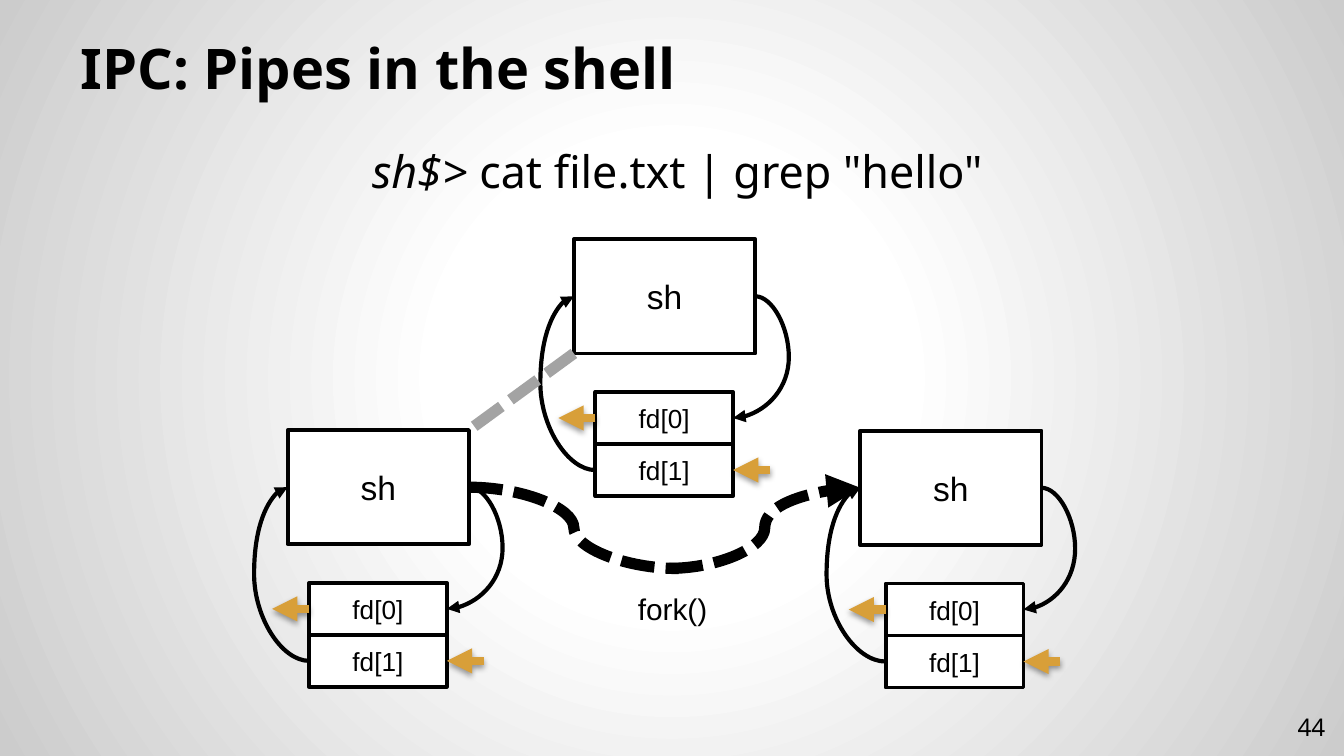
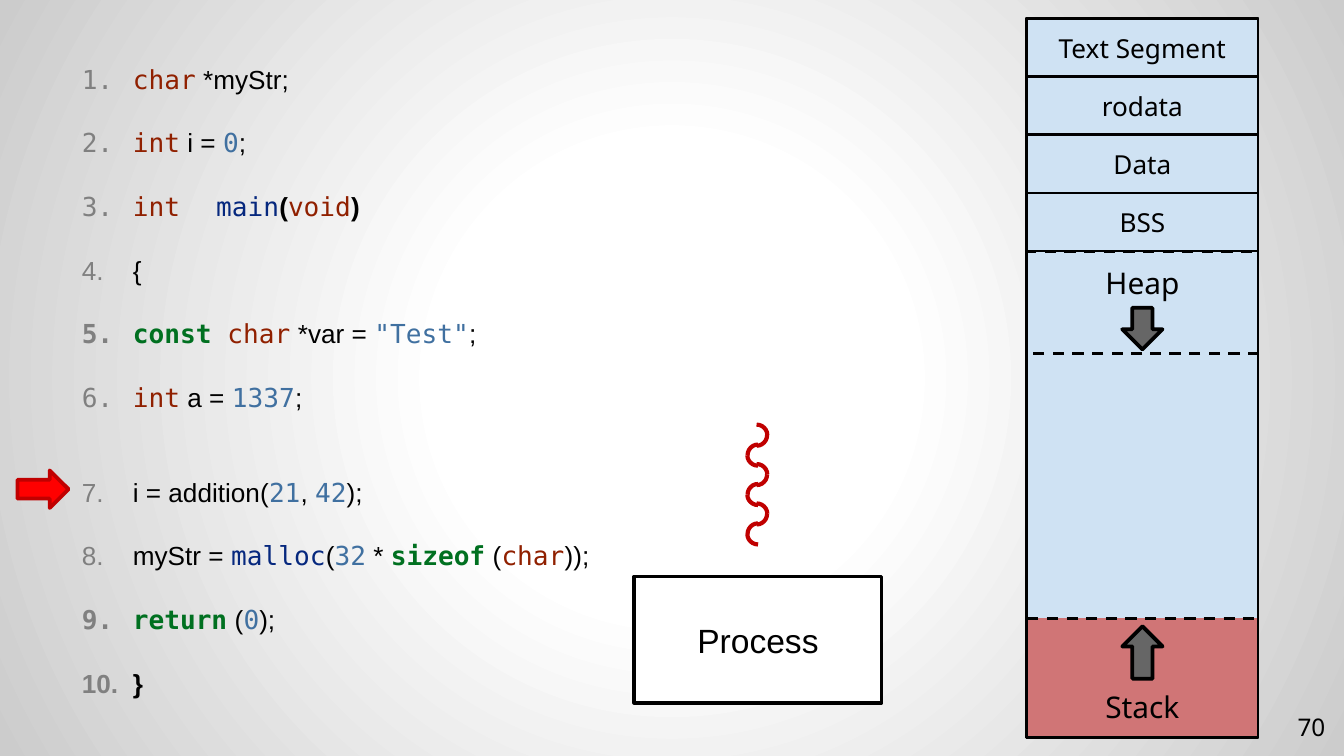
from pptx import Presentation
from pptx.dml.color import RGBColor
from pptx.enum.dml import MSO_LINE
from pptx.enum.shapes import MSO_CONNECTOR, MSO_SHAPE
from pptx.enum.text import MSO_ANCHOR, MSO_AUTO_SIZE, PP_ALIGN
from pptx.oxml import parse_xml
from pptx.oxml.ns import nsdecls, qn
from pptx.util import Emu, Inches, Pt

# Grid: 100 columns by 56.25 rows of square cells
CELL = Inches(0.1)
COLS, ROWS = 100, 56.25

# Colours and fonts
BLACK = RGBColor(0x00, 0x00, 0x00)
WHITE = RGBColor(0xFF, 0xFF, 0xFF)
GOLD = RGBColor(0xD8, 0x9F, 0x39)
SILVER = RGBColor(0xA3, 0xA3, 0xA3)
GREY = RGBColor(0x66, 0x66, 0x66)
SKY = RGBColor(0xCF, 0xE2, 0xF3)
ROSE = RGBColor(0xD0, 0x75, 0x76)
RED = RGBColor(0xFF, 0x00, 0x00)
WINE = RGBColor(0xC0, 0x00, 0x00)
RUST = RGBColor(0x90, 0x20, 0x00)
BLUE = RGBColor(0x40, 0x70, 0xA0)
NAVY = RGBColor(0x06, 0x28, 0x7E)
GREEN = RGBColor(0x00, 0x70, 0x20)
SANS, HEAD, MONO = "Arial", "Noto Sans", "DejaVu Sans Mono"

# Code styles: font, colour, bold
STYLES = {
    "text": (SANS, BLACK, False),
    "bold": (SANS, BLACK, True),
    "type": (MONO, RUST, False),
    "num": (MONO, BLUE, False),
    "name": (MONO, NAVY, False),
    "key": (MONO, GREEN, True),
}
CODE = [
    [("type", "char"), ("text", " *myStr;")],
    [("type", "int"), ("text", " i = "), ("num", "0"), ("text", ";")],
    [("type", "int\t"), ("name", "main"), ("bold", "("), ("type", "void"), ("bold", ")")],
    [("text", "{")],
    [("key", "const "), ("type", "char"), ("text", " *var = "), ("num", '"Test"'),
     ("text", ";")],
    [("type", "int"), ("text", " a = "), ("num", "1337"), ("text", ";")],
    [("text", "i = addition("), ("num", "21"), ("text", ", "), ("num", "42"),
     ("text", ");")],
    [("text", "myStr = "), ("name", "malloc"), ("text", "("), ("num", "32"),
     ("text", " * "), ("key", "sizeof"), ("text", " ("), ("type", "char"),
     ("text", "));")],
    [("key", "return"), ("text", " ("), ("num", "0"), ("text", ");")],
    [("bold", "}")],
]
CALL_ROW = 6


def cells(*counts):
    return [Emu(round(n * CELL)) for n in counts]


def style(run, font, size, color=BLACK, bold=False):
    run.font.name, run.font.size, run.font.bold = font, Pt(size), bold
    run.font.color.rgb = color


def write(shape, text, font, size, align=PP_ALIGN.CENTER, anchor=MSO_ANCHOR.MIDDLE,
          inset=None, bold=False):
    frame = shape.text_frame
    frame.word_wrap = True
    frame.auto_size = MSO_AUTO_SIZE.NONE
    frame.vertical_anchor = anchor
    if inset:
        frame.margin_left = frame.margin_right = inset
        frame.margin_top = frame.margin_bottom = inset
    frame.text = text
    line = frame.paragraphs[0]
    line.alignment = align
    for run in line.runs:
        style(run, font, size, bold=bold)


def label(slide, spot, text, font, size, **look):
    box = slide.shapes.add_textbox(*cells(*spot))
    write(box, text, font, size, **look)
    return box


def block(slide, kind, spot, fill=None, line=BLACK, width=2.0, dash=None, turn=0):
    shape = slide.shapes.add_shape(kind, *cells(*spot))
    shape.shadow.inherit = False
    if fill is None:
        shape.fill.background()
    else:
        shape.fill.solid()
        shape.fill.fore_color.rgb = fill
    shape.line.color.rgb, shape.line.width = line, Pt(width)
    if dash:
        shape.line.dash_style = dash
    shape.rotation = turn
    return shape


def box(slide, spot, text, size):
    shape = block(slide, MSO_SHAPE.RECTANGLE, spot, WHITE)
    write(shape, text, SANS, size)
    return shape


def link(slide, start, end, color=BLACK, width=2.25, kind=MSO_CONNECTOR.CURVE,
         dash=None, arrow=True, shade=False, bend=None):
    wire = slide.shapes.add_connector(kind, *cells(*start, *end))
    wire.line.color.rgb, wire.line.width = color, Pt(width)
    if dash:
        wire.line.dash_style = dash
    props = wire._element.spPr
    if arrow:
        props.find(qn("a:ln")).append(
            parse_xml(f'<a:tailEnd {nsdecls("a")} type="triangle"/>'))
    glow = ('<a:outerShdw blurRad="39370" dist="20320" dir="5400000" rotWithShape="0">'
            '<a:srgbClr val="000000"><a:alpha val="38000"/></a:srgbClr>'
            '</a:outerShdw>') if shade else ""
    props.append(parse_xml(f'<a:effectLst {nsdecls("a")}>{glow}</a:effectLst>'))
    if bend is not None:
        shape = props.find(qn("a:prstGeom"))
        for old in list(shape):
            shape.remove(old)
        shape.append(parse_xml(
            f'<a:avLst {nsdecls("a")}><a:gd name="adj1" '
            f'fmla="val {round(bend * 100000)}"/></a:avLst>'))
    return wire


def glue(wire, first=None, last=None):
    # Each end is a shape and its site: 1 is left, 3 is right
    if first:
        wire.begin_connect(*first)
    if last:
        wire.end_connect(*last)
    frame = wire._element.spPr.find(qn("a:xfrm"))
    if frame.get("flipH") == "1" and frame.get("flipV") == "1":
        del frame.attrib["flipH"], frame.attrib["flipV"]
        frame.set("rot", "10800000")


def shell(slide, x, y, shift):
    """A process, its two descriptors and the loops that join them."""
    wide, high, slot, step, reach = 13.5, 8.5, 10.25, 3.87, 2.5
    left, top = x + shift, y + 11.37
    right = left + slot
    mid, low = top + step / 2, top + step * 1.5
    main_box = box(slide, (x, y, wide, high), "sh", 18)
    ends = [box(slide, (left, top + i * step, slot, step), f"fd[{i}]", 14)
            for i in range(2)]
    port = y + high / 2
    out = link(slide, (x + wide, port), (right, mid), bend=-reach / (x + wide - right))
    glue(out, (main_box, 3), (ends[0], 3))
    back = link(slide, (left, low), (x, port), bend=1 + reach / shift)
    glue(back, (ends[1], 1), (main_box, 1))
    for tip, row in ((left, mid), (right + 2.75, low)):
        link(slide, (tip, row), (tip - 2.75, row), GOLD, 4.5,
             MSO_CONNECTOR.STRAIGHT, shade=True)
    return main_box


def number(slide, text):
    label(slide, (93.6, 51.9, 6, 4.3), text, HEAD, 13, align=PP_ALIGN.RIGHT, inset=CELL)


def backdrop(deck):
    master = deck.slide_master
    master.background.fill.gradient()
    grad = master._element.cSld.find(".//" + qn("a:gradFill"))
    stops = "".join(
        f'<a:gs pos="{pos}000"><a:srgbClr val="{color}"/></a:gs>'
        for pos, color in ((0, WHITE), (30, WHITE), (100, "CCCCCC")))
    fresh = parse_xml(
        f'<a:gradFill {nsdecls("a")}><a:gsLst>{stops}</a:gsLst><a:path path="circle">'
        '<a:fillToRect l="50000" t="50000" r="50000" b="50000"/></a:path></a:gradFill>')
    grad.getparent().replace(grad, fresh)


def listing(slide):
    frame = slide.shapes.add_textbox(*cells(5.1, 4.2, 43.8, 48.1)).text_frame
    frame.word_wrap = True
    for i, parts in enumerate(CODE):
        line = frame.add_paragraph() if i else frame.paragraphs[0]
        props = line._p.get_or_add_pPr()
        props.set("marL", str(Inches(0.38)))
        props.set("indent", str(-Inches(0.38)))
        props.append(parse_xml(
            f'<a:buClr {nsdecls("a")}><a:srgbClr val="808080"/></a:buClr>'))
        props.append(parse_xml(
            f'<a:buAutoNum {nsdecls("a")} type="arabicPeriod"/>'))
        if i:
            line.space_before = Pt(34 if i == CALL_ROW else 17.3)
        for key, text in parts:
            run = line.add_run()
            run.text = text
            font, color, bold = STYLES[key]
            style(run, font, 14, color, bold)


def thread(slide):
    # Each wave is two right-hand arcs, then two left-hand ones
    for wave in range(3):
        for turn in range(4):
            x, y = (55.5, 31.6) if turn < 2 else (55.6, 33.1)
            block(slide, MSO_SHAPE.ARC, (x, y + wave * 2.93, 1.6, 1.55),
                  line=WINE, width=2.25, turn=turn * 90)


def memory(slide):
    x, y, wide, high, row = 76.4, 1.4, 17.2, 53.5, 4.32

    def part(top, tall, text, fill=SKY, size=14, dash=None, anchor=MSO_ANCHOR.MIDDLE):
        shape = block(slide, MSO_SHAPE.RECTANGLE, (x, top, wide, tall), fill,
                      width=1.5, dash=dash)
        write(shape, text, HEAD, size, anchor=anchor, inset=CELL)

    def point(top, tall, turn=0):
        block(slide, MSO_SHAPE.DOWN_ARROW, (x + wide / 2 - 1.5, top, 3, tall), GREY,
              turn=turn)

    block(slide, MSO_SHAPE.RECTANGLE, (x, y, wide, high), SKY, width=1.5)
    part(46, 8.9, "Stack", ROSE, 16, MSO_LINE.DASH, MSO_ANCHOR.BOTTOM)
    point(46.6, 3.9, 180)
    part(18.7, 7.6, "Heap", SKY, 16, MSO_LINE.DASH, MSO_ANCHOR.TOP)
    point(22.9, 3.1)
    for i, text in enumerate(("Text Segment", "rodata", "Data", "BSS")):
        part(y + i * row, row, text)
    block(slide, MSO_SHAPE.RECTANGLE, (x, y, wide, high), width=1.5)


def pipes(deck):
    slide = deck.slides.add_slide(deck.slide_layouts[5])
    title = slide.shapes.title
    title.left, title.top, title.width, title.height = cells(5, 2.3, 90, 6.2)
    write(title, "IPC: Pipes in the shell", HEAD, 30, PP_ALIGN.LEFT,
          MSO_ANCHOR.BOTTOM, CELL, True)

    # Command line with an italic prompt
    prompt = label(slide, (5, 9.7, 90, 44.1), "sh$> ", HEAD, 24,
                   anchor=MSO_ANCHOR.TOP, inset=CELL)
    line = prompt.text_frame.paragraphs[0]
    line._p.get_or_add_pPr().set("marL", str(Inches(0.08)))
    line.runs[0].font.italic = True
    run = line.add_run()
    run.text = 'cat file.txt | grep "hello"'
    style(run, HEAD, 24)
    number(slide, "44")

    # Parent and its two forks
    shell(slide, 42.7, 17.8, 1.6)
    left = shell(slide, 21.4, 32, 1.6)
    right = shell(slide, 64, 32.05, 1.9)
    label(slide, (45.2, 43.4, 9.7, 3.7), "fork()", SANS, 16)
    dash = MSO_LINE.SQUARE_DOT
    rise = link(slide, (49.8, 42.3), (64, 36.3), width=6, dash=dash)
    glue(rise, last=(right, 1))
    fall = link(slide, (34.9, 36.25), (50.5, 42.3), width=6, dash=dash, arrow=False)
    glue(fall, first=(left, 3))
    link(slide, (42.7, 26.3), (34.9, 32), SILVER, 6, MSO_CONNECTOR.STRAIGHT,
         dash, arrow=False)


def process(deck):
    slide = deck.slides.add_slide(deck.slide_layouts[6])
    number(slide, "70")
    box(slide, (47.2, 42.9, 18.4, 9.4), "Process", 18)
    listing(slide)
    thread(slide)
    memory(slide)
    block(slide, MSO_SHAPE.RIGHT_ARROW, (1.3, 35, 3.8, 2.8), RED, WINE)


def main():
    deck = Presentation()
    deck.slide_width, deck.slide_height = cells(COLS, ROWS)
    backdrop(deck)
    pipes(deck)
    process(deck)
    deck.save("out.pptx")


if __name__ == "__main__":
    main()
